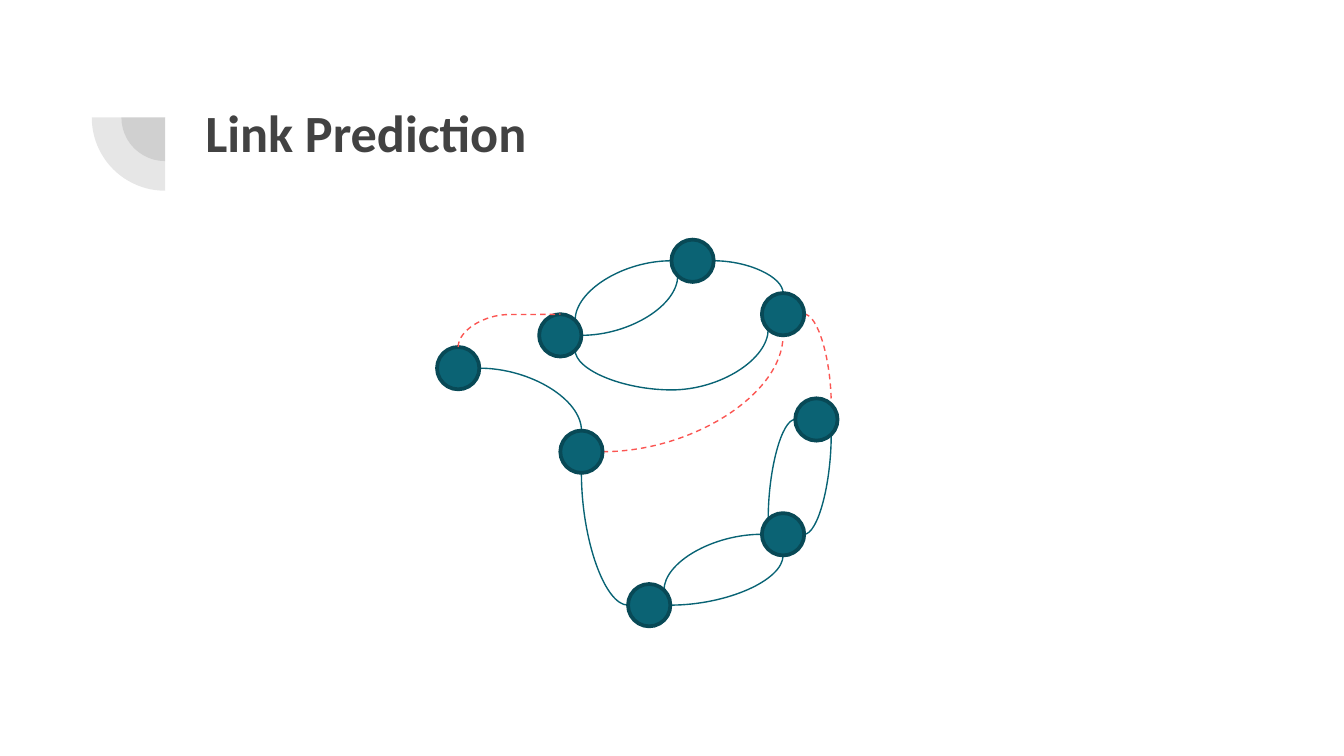
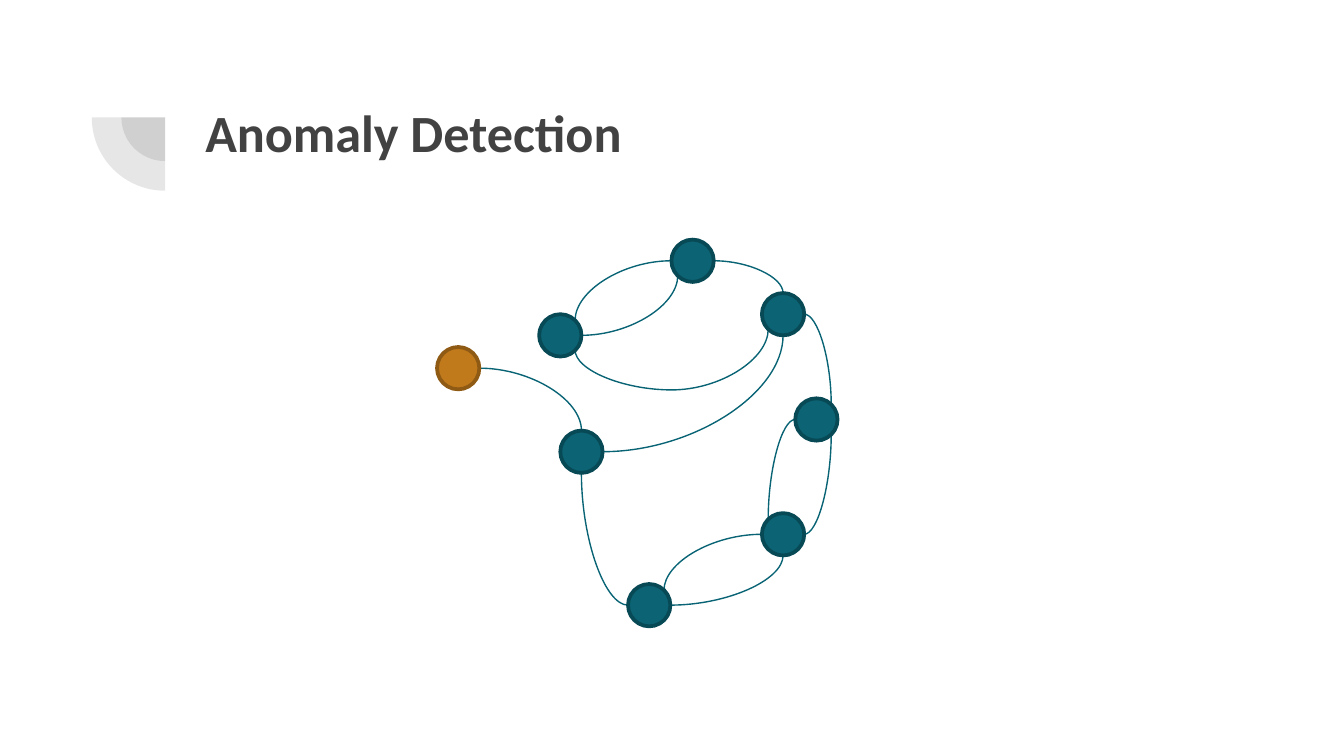
"""Build two slides that show link prediction and anomaly detection on one graph."""
from lxml.etree import SubElement
from pptx import Presentation
from pptx.dml.color import RGBColor
from pptx.enum.dml import MSO_LINE
from pptx.enum.shapes import MSO_CONNECTOR, MSO_SHAPE
from pptx.oxml.ns import qn
from pptx.util import Cm, Pt

HUES = {
    "text": "424242",
    "node": "0B6374", "rim": "084956",
    "odd": "C0791B", "odd rim": "8E5A14",
    "edge": "086374", "guess": "FB5552",
}
FONT = "Calibri"
RAD, DIAG = 0.4, 0.28
SITES = {
    "N": (0, -RAD), "S": (0, RAD), "E": (RAD, 0), "W": (-RAD, 0),
    "NE": (DIAG, -DIAG), "NW": (-DIAG, -DIAG),
    "SE": (DIAG, DIAG), "SW": (-DIAG, DIAG),
}
NODES = {
    "left": (10.59, 6.34), "far": (8.66, 6.96), "mid": (10.99, 8.54),
    "top": (13.09, 4.93), "low": (12.27, 11.44), "right": (14.8, 5.94),
    "base": (14.8, 10.1), "side": (15.43, 7.93),
}
EDGES = [
    ("left", "SE", "right", "SW", -1.88),
    ("far", "E", "mid", "N", None),
    ("low", "W", "mid", "S", None),
    ("top", "W", "left", "NE", None),
    ("base", "W", "low", "NE", None),
    ("left", "E", "top", "SW", None),
    ("low", "E", "base", "S", None),
    ("side", "W", "base", "NW", None),
    ("base", "E", "side", "SE", None),
    ("top", "E", "right", "N", None),
]
LINKS = [
    ("mid", "E", "right", "S", None),
    ("right", "E", "side", "NE", None),
]
HOOK = ("far", "N", "left", "N", 0.99)
PAGES = [("Link Prediction", True), ("Anomaly Detection", False)]


def rgb(name):
    return RGBColor.from_string(HUES[name])


def join(slide, edge, guess):
    """Draw a curve: level start and upright end, or upright at both ends with a bend."""
    start, out, end, into, bend = edge
    ax, ay = (c + d for c, d in zip(NODES[start], SITES[out]))
    bx, by = (c + d for c, d in zip(NODES[end], SITES[into]))
    if bend is not None:
        cx, cy = (ax + bx) / 2, (ay + by) / 2
        ax, ay, bx, by = cx + ay - cy, cy + cx - ax, cx + by - cy, cy + cx - bx
    line = slide.shapes.add_connector(MSO_CONNECTOR.CURVE, Cm(ax), Cm(ay), Cm(bx), Cm(by))
    props = line._element.spPr
    geom = props.find(qn("a:prstGeom"))
    if bend is None:
        geom.set("prst", "curvedConnector2")
    else:
        line.rotation = 90
        guides = geom.find(qn("a:avLst"))
        if guides is None:
            guides = SubElement(geom, qn("a:avLst"))
        SubElement(guides, qn("a:gd"), name="adj1", fmla=f"val {round(bend * 100000)}")
    line.line.color.rgb = rgb("guess" if guess else "edge")
    line.line.width = Pt(0.75)
    if guess:
        line.line.dash_style = MSO_LINE.DASH
    SubElement(props, qn("a:effectLst"))


deck = Presentation()
deck.slide_width, deck.slide_height = Cm(25.4), Cm(14.29)

for title, guess in PAGES:
    slide = deck.slides.add_slide(deck.slide_layouts[6])

    for size in (1.65, 2.77):
        pie = slide.shapes.add_shape(
            MSO_SHAPE.PIE, Cm(3.12 - size / 2), Cm(2.22 - size / 2), Cm(size), Cm(size))
        pie.adjustments[0], pie.adjustments[1] = 108, 162
        pie.rotation = 270
        pie.shadow.inherit = False
        pie.fill.solid()
        pie.fill.fore_color.rgb = rgb("text")
        tint = pie._element.spPr.find(qn("a:solidFill"))[0]
        SubElement(tint, qn("a:alpha"), val="13000")
        pie.line.fill.background()

    box = slide.shapes.add_textbox(Cm(3.63), Cm(1.65), Cm(19.53), Cm(2.77))
    frame = box.text_frame
    frame.word_wrap = True
    frame.margin_left = frame.margin_right = Cm(0.25)
    frame.margin_top = frame.margin_bottom = Cm(0.25)
    frame.text = title
    font = frame.paragraphs[0].runs[0].font
    font.name, font.size, font.bold = FONT, Pt(28), True
    font.color.rgb = rgb("text")

    for edge in EDGES:
        join(slide, edge, False)
    for edge in LINKS:
        join(slide, edge, guess)

    for name, (x, y) in NODES.items():
        odd = name == "far" and not guess
        dot = slide.shapes.add_shape(
            MSO_SHAPE.OVAL, Cm(x - RAD), Cm(y - RAD), Cm(2 * RAD), Cm(2 * RAD))
        dot.shadow.inherit = False
        dot.fill.solid()
        dot.fill.fore_color.rgb = rgb("odd" if odd else "node")
        dot.line.color.rgb = rgb("odd rim" if odd else "rim")
        dot.line.width = Pt(2)

    if guess:
        join(slide, HOOK, True)

deck.save("out.pptx")
